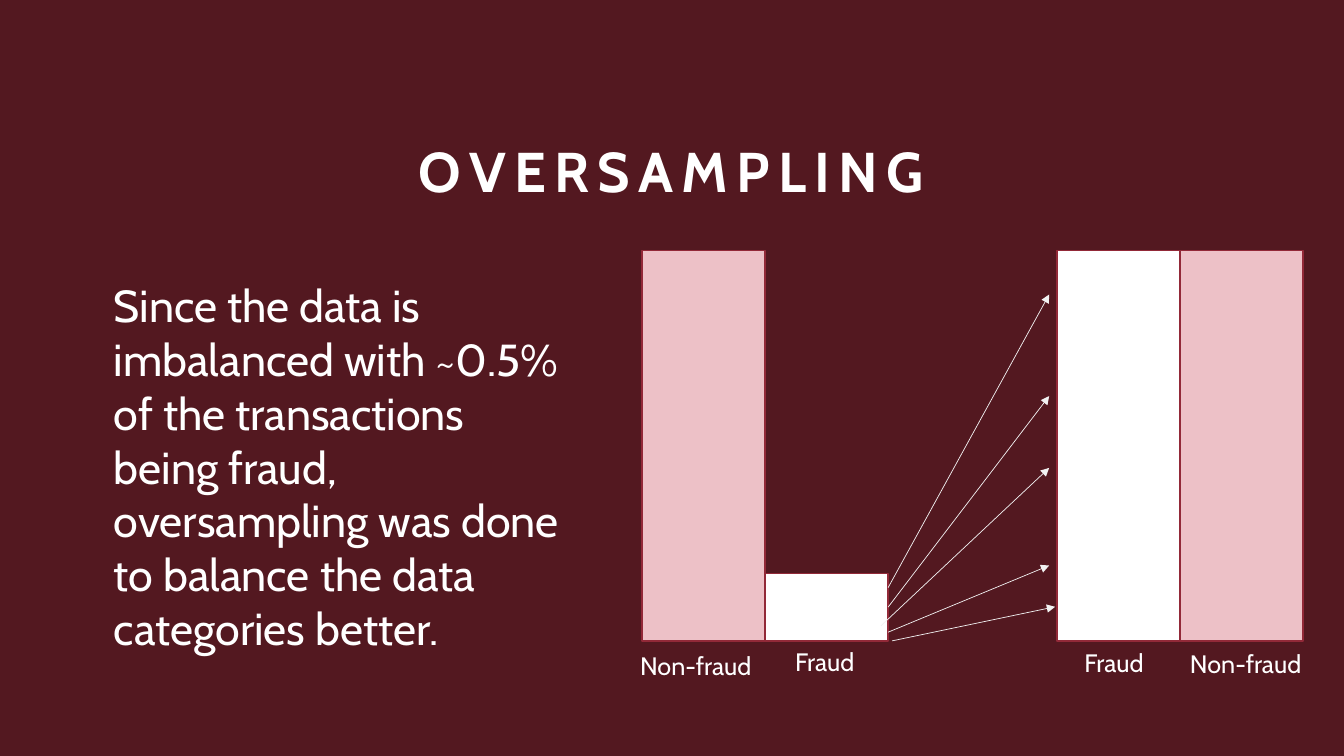
from lxml import etree
from pptx import Presentation
from pptx.dml.color import RGBColor
from pptx.enum.shapes import MSO_CONNECTOR, MSO_SHAPE
from pptx.enum.text import MSO_ANCHOR, PP_ALIGN
from pptx.oxml.ns import qn
from pptx.util import Cm, Pt

RECT = MSO_SHAPE.RECTANGLE
STRAIGHT = MSO_CONNECTOR.STRAIGHT
TOP, BOTTOM = MSO_ANCHOR.TOP, MSO_ANCHOR.BOTTOM
LEFT, CENTER = PP_ALIGN.LEFT, PP_ALIGN.CENTER
RIGHT_SIDE = 3

THEME = {
    "background": RGBColor(0x53, 0x18, 0x20),
    "non_fraud": RGBColor(0xED, 0xC1, 0xC7),
    "fraud": RGBColor(0xFF, 0xFF, 0xFF),
    "outline": RGBColor(0x92, 0x29, 0x38),
    "arrow": RGBColor(0xF2, 0xF2, 0xF2),
    "text": RGBColor(0xFF, 0xFF, 0xFF),
    "title": {"name": "Cabin", "size": Pt(40), "bold": True},
    "body": {"name": "Cabin", "size": Pt(32)},
    "label": {"name": "Cabin", "size": Pt(18)},
}


def add_text(s, text, box, style, align=LEFT, anchor=TOP):
    tf = s.shapes.add_textbox(*map(Cm, box)).text_frame
    tf.word_wrap = True
    tf.vertical_anchor = anchor
    p = tf.paragraphs[0]
    p.alignment = align
    r = p.add_run()
    r.text = text
    for key, value in THEME[style].items():
        setattr(r.font, key, value)
    r.font.color.rgb = THEME["text"]
    return p


prs = Presentation()
prs.slide_width, prs.slide_height = Cm(33.87), Cm(19.05)
s = prs.slides.add_slide(prs.slide_layouts[6])
s.background.fill.solid()
s.background.fill.fore_color.rgb = THEME["background"]

# Title and explanation
p = add_text(s, "OVERSAMPLING", (4.6, 2.31, 24.66, 2.97), "title", CENTER, BOTTOM)
p.line_spacing = 0.9
p.runs[0].font._element.set("spc", "600")
add_text(
    s,
    "Since the data is imbalanced with ~0.5% of the transactions being fraud, "
    "oversampling was done to balance the data categories better.",
    (2.62, 6.88, 12.01, 9.83),
    "body",
)

# Bars before and after oversampling, standing on one baseline
BASELINE, BAR_WIDTH, FULL, SMALL = 16.15, 3.1, 9.83, 1.7
groups = [
    (16.18, [("non_fraud", FULL), ("fraud", SMALL)]),
    (26.64, [("fraud", FULL), ("non_fraud", FULL)]),
]
bars = []
for group_left, columns in groups:
    for i, (category, height) in enumerate(columns):
        bar = s.shapes.add_shape(
            RECT, Cm(group_left + i * BAR_WIDTH), Cm(BASELINE - height),
            Cm(BAR_WIDTH), Cm(height),
        )
        bar.shadow.inherit = False
        bar.fill.solid()
        bar.fill.fore_color.rgb = THEME[category]
        bar.line.color.rgb = THEME["outline"]
        bar.line.width = Pt(1)
        bars.append(bar)
small_fraud_bar = bars[1]

# Arrows from the small fraud bar to the oversampled one
arrows = [
    (22.38, 14.81, 26.44, 7.42),
    (22.38, 15.3, 26.44, 9.98),
    (22.2, 15.77, 26.44, 11.79),
    (22.38, 15.93, 26.44, 14.25),
    (22.48, 16.15, 26.59, 15.29),
]
for i, ends in enumerate(arrows):
    arrow = s.shapes.add_connector(STRAIGHT, *map(Cm, ends))
    arrow.line.color.rgb = THEME["arrow"]
    arrow.line.width = Pt(0.5)
    ln = arrow.line._get_or_add_ln()
    etree.SubElement(ln, qn("a:tailEnd")).set("type", "triangle")
    etree.SubElement(arrow._element.spPr, qn("a:effectLst"))
    if i == 1:
        arrow.begin_connect(small_fraud_bar, RIGHT_SIDE)

# Bar labels
labels = [
    ("Non-fraud", 15.88, 16.26),
    ("Fraud", 19.79, 16.15),
    ("Fraud", 27.08, 16.18),
    ("Non-fraud", 29.74, 16.21),
]
for text, left, top in labels:
    add_text(s, text, (left, top, 3.71, 1.02), "label")

prs.save("out.pptx")
